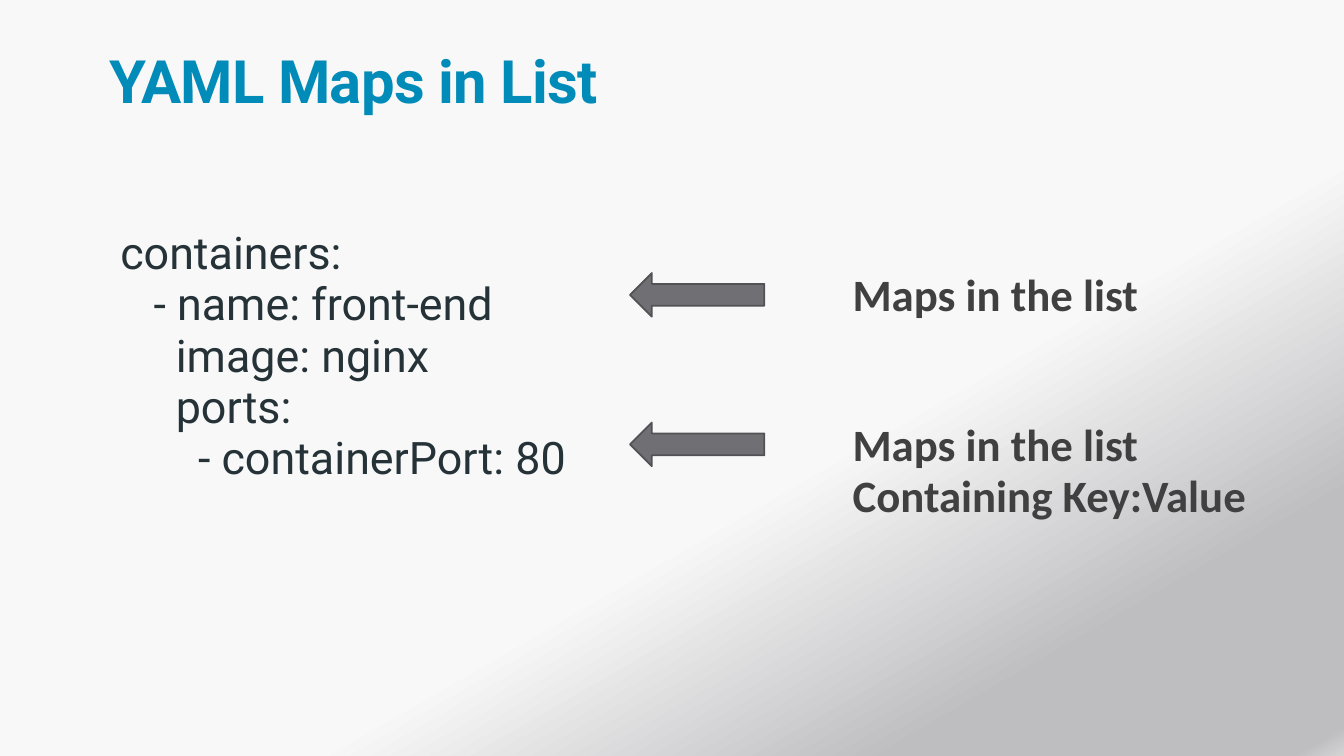
from copy import deepcopy

from pptx import Presentation
from pptx import util as u
from pptx.dml.color import RGBColor
from pptx.enum import shapes, text
from pptx.oxml.ns import qn

COLUMNS, ROWS = 160, 90


def colour(value):
    return RGBColor.from_string(value)


class YamlSlide:
    """Holds the style and the current slide; lengths are grid columns and rows."""

    title_style = dict(font="Roboto", size=42.7, ink="008BB8", bold=True,
                       line_spacing=0.85, tracking=-50)
    code_style = dict(font="Roboto", size=32, ink="253237", space_after=2)
    note_style = dict(font="Calibri", size=32, ink="404040", bold=True,
                      space_after=2, indent=1.2)
    arrow_fill, arrow_line = "6F6F74", "525256"

    def __init__(self, presentation):
        self.column = presentation.slide_width / COLUMNS
        self.row = presentation.slide_height / ROWS
        self.slide = presentation.slides.add_slide(presentation.slide_layouts[6])

    def place(self, left, top, width, height):
        return (round(left * self.column), round(top * self.row),
                round(width * self.column), round(height * self.row))

    def background(self, stops, angle):
        fill = self.slide.background.fill
        fill.gradient()
        stop_list = next(self.slide._element.iter(qn("a:gsLst")))
        for _ in range(len(stops) - len(stop_list)):
            stop_list.append(deepcopy(stop_list[0]))
        for stop, (position, value) in zip(fill.gradient_stops, stops):
            stop.position = position
            stop.color.rgb = colour(value)
        fill.gradient_angle = 360 - angle

    def text(self, box, lines, font, size, ink, bold=False, line_spacing=0.9,
             space_after=0, indent=0, tracking=0):
        frame = self.slide.shapes.add_textbox(*self.place(*box)).text_frame
        frame.word_wrap = True
        frame.vertical_anchor = text.MSO_ANCHOR.TOP
        frame.margin_top = frame.margin_right = frame.margin_bottom = 0
        frame.margin_left = round(indent * self.column)
        for number, line in enumerate(lines):
            paragraph = frame.add_paragraph() if number else frame.paragraphs[0]
            paragraph.line_spacing = line_spacing
            paragraph.space_after = u.Pt(space_after)
            run = paragraph.add_run()
            run.text = line
            run.font.name = font
            run.font.size = u.Pt(size)
            run.font.bold = bold
            run.font.color.rgb = colour(ink)
            if tracking:
                run._r.get_or_add_rPr().set("spc", str(tracking))

    def arrow(self, box):
        shape = self.slide.shapes.add_shape(
            shapes.MSO_SHAPE.LEFT_ARROW, *self.place(*box))
        shape.shadow.inherit = False
        shape.fill.solid()
        shape.fill.fore_color.rgb = colour(self.arrow_fill)
        shape.line.color.rgb = colour(self.arrow_line)
        shape.line.width = u.Pt(1.25)

    def callout(self, top, lines):
        self.arrow((75, top, 16, 5.2))
        self.text((100.3, top, 48.6, 7.4), lines, **self.note_style)


def main():
    presentation = Presentation()
    presentation.slide_width = u.Inches(13.33)
    presentation.slide_height = u.Inches(7.5)
    page = YamlSlide(presentation)

    # Background
    page.background([(0.61, "F8F8F8"), (0.83, "BEBEC1"),
                     (0.98, "BEBEC1"), (1, "D4D4D5")], angle=60)

    # Title
    page.text((13, 6.5, 127, 13.2), ["YAML Maps in List"], **page.title_style)

    # YAML code
    page.text((13, 27.5, 109, 58.5), [
        " containers:",
        "    - name: front-end",
        "      image: nginx",
        "      ports:",
        "        - containerPort: 80",
    ], **page.code_style)

    # Arrows with their notes
    page.callout(32.5, ["Maps in the list"])
    page.callout(50.3, ["Maps in the list", "Containing Key:Value"])

    presentation.save("out.pptx")


if __name__ == "__main__":
    main()
